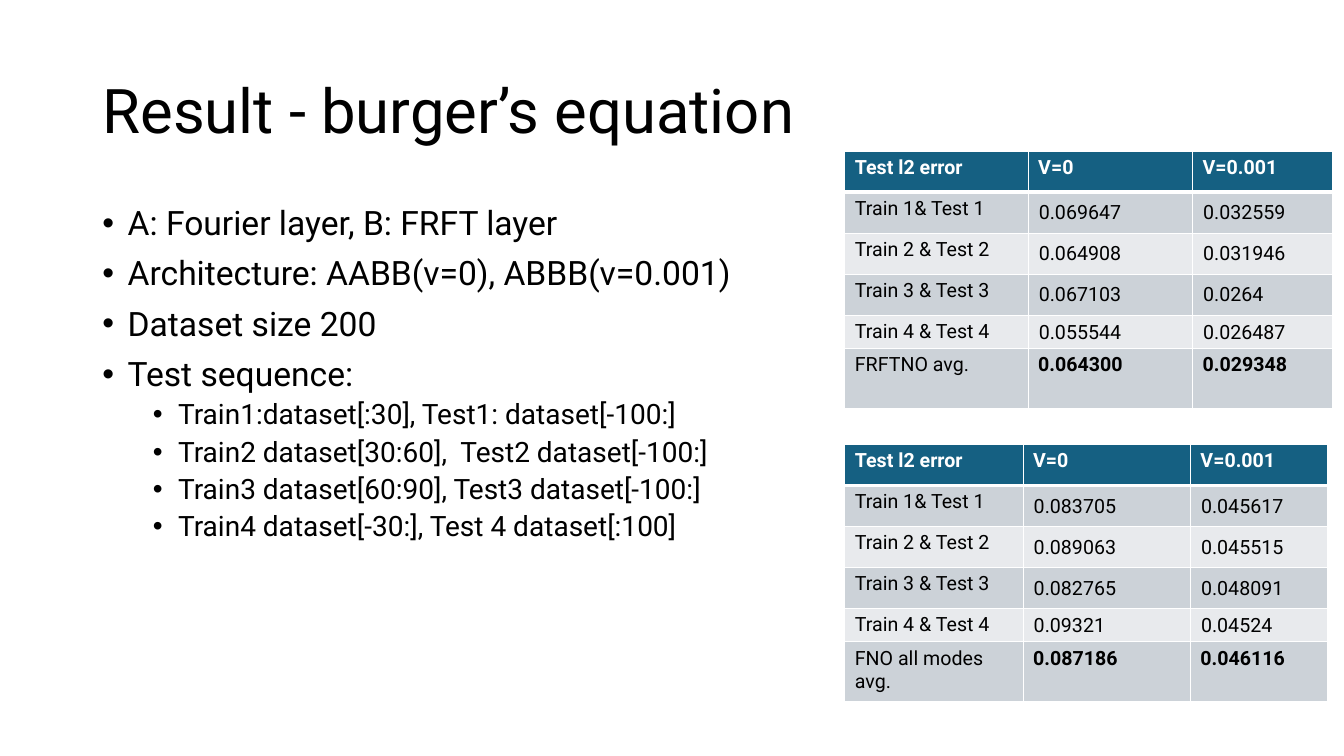
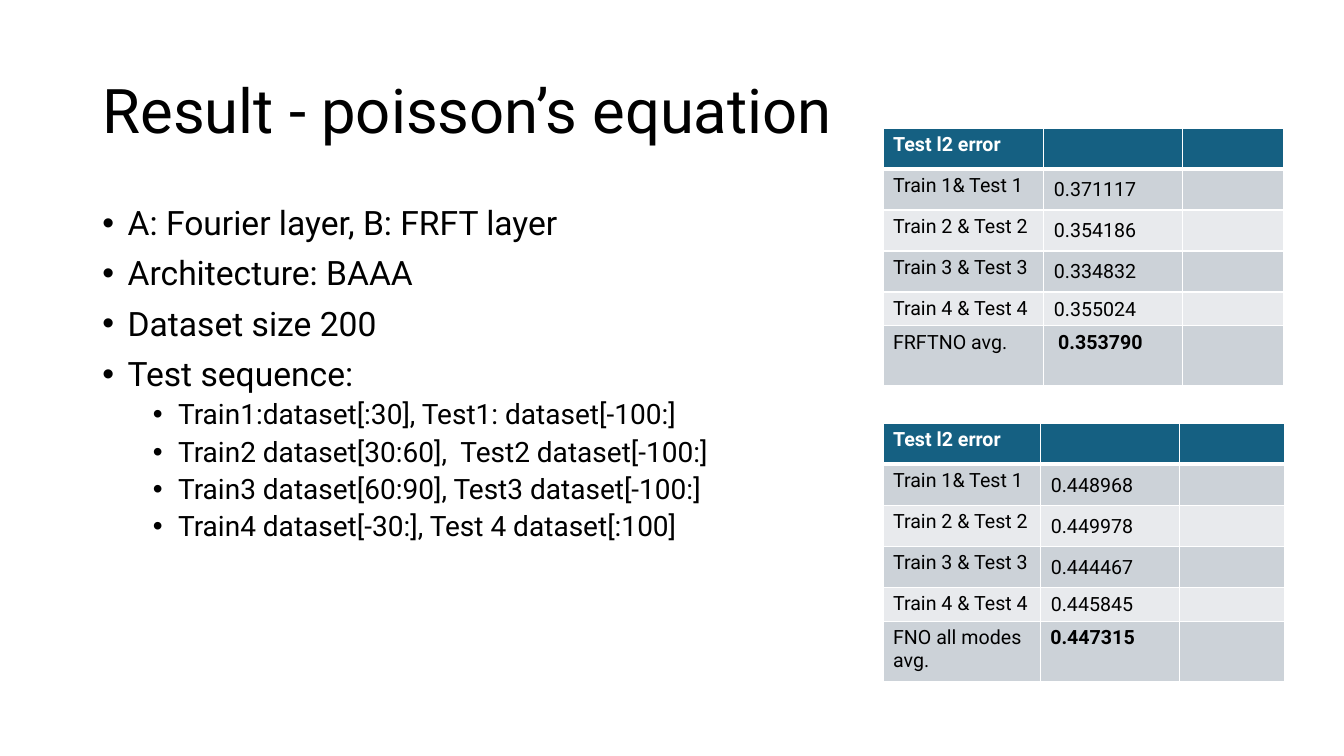
import pptx
import pptx.dml.color
import pptx.enum.text
import pptx.oxml.ns
import pptx.util
from lxml import etree

Pt = pptx.util.Pt
qn = pptx.oxml.ns.qn
ANCHOR = pptx.enum.text.MSO_ANCHOR

# Shared look
FONT = "Roboto"
COLORS = {"text": "000000", "white": "FFFFFF", "header": "156082",
          "odd": "CCD2D8", "even": "E8EAED"}
TITLE_BOX = (66, 28.8, 828, 104.4)
BODY_BOX = (66, 144, 828, 342.7)
TITLE_FONT = {"name": FONT, "size": Pt(44)}
LEVELS = [  # font size, space before, left margin
    (24, 10, 18),
    (20, 5, 54),
]
BULLET_HANG = 18
TABLE_FONT = {"name": FONT, "size": Pt(14)}
ROW_HEIGHTS = [29.3] * 4 + [14.4, 43]
VALUE_CELL = {"margin_left": Pt(7.6), "margin_right": Pt(0.7), "margin_top": Pt(0.7),
              "margin_bottom": Pt(0), "vertical_anchor": ANCHOR.MIDDLE}
ROW_LABELS = ["Train 1& Test 1", "Train 2 & Test 2", "Train 3 & Test 3", "Train 4 & Test 4"]

TEST_SEQUENCE = [
    "Train1:dataset[:30], Test1: dataset[-100:]",
    "Train2 dataset[30:60],  Test2 dataset[-100:]",
    "Train3 dataset[60:90], Test3 dataset[-100:]",
    "Train4 dataset[-30:], Test 4 dataset[:100]",
]

# Each table: origin, column widths, last row label, then the columns
# (heading, four test errors, average)
SLIDES = [
    {"title": "Result - burger’s equation",
     "architecture": "AABB(v=0), ABBB(v=0.001)",
     "tables": [
         {"at": (603.4, 108), "widths": (131, 117.4, 100.1), "average": "FRFTNO avg.",
          "columns": [
              ["V=0", "0.069647", "0.064908", "0.067103", "0.055544", "0.064300"],
              ["V=0.001", "0.032559", "0.031946", "0.0264", "0.026487", "0.029348"]]},
         {"at": (603.4, 317.5), "widths": (127.4, 119.5, 97.9), "average": "FNO all modes avg.",
          "columns": [
              ["V=0", "0.083705", "0.089063", "0.082765", "0.09321", "0.087186"],
              ["V=0.001", "0.045617", "0.045515", "0.048091", "0.04524", "0.046116"]]},
     ]},
    {"title": "Result - poisson’s equation",
     "architecture": "BAAA",
     "tables": [
         {"at": (630.7, 91.4), "widths": (114.5, 99.4, 72), "average": "FRFTNO avg.",
          "average_margin": 10.7,
          "columns": [
              ["", "0.371117", "0.354186", "0.334832", "0.355024", "0.353790"],
              [""] * 6]},
         {"at": (630.7, 302.4), "widths": (112.3, 99.4, 74.9), "average": "FNO all modes avg.",
          "columns": [
              ["", "0.448968", "0.449978", "0.444467", "0.445845", "0.447315"],
              [""] * 6]},
     ]},
]


def rgb(name):
    return pptx.dml.color.RGBColor.from_string(COLORS[name])


def set_attrs(obj, values):
    for name, value in values.items():
        setattr(obj, name, value)


def place(shape, box):
    set_attrs(shape, dict(zip(("left", "top", "width", "height"), map(Pt, box))))


def add_run(p, text, font, color):
    r = p.add_run()
    r.text = text
    set_attrs(r.font, font)
    r.font.color.rgb = rgb(color)


def fill_title(shape, box, text):
    place(shape, box)
    tf = shape.text_frame
    set_attrs(tf, {"vertical_anchor": ANCHOR.MIDDLE, "word_wrap": True,
                   "auto_size": pptx.enum.text.MSO_AUTO_SIZE.NONE})
    p = tf.paragraphs[0]
    set_attrs(p, {"alignment": pptx.enum.text.PP_ALIGN.LEFT, "line_spacing": 0.9})
    add_run(p, text, TITLE_FONT, "text")


def fill_body(shape, box, items):
    """Write (level, text) items as a bulleted list."""
    place(shape, box)
    tf = shape.text_frame
    set_attrs(tf, {"word_wrap": True, "auto_size": pptx.enum.text.MSO_AUTO_SIZE.NONE})
    for i, (level, text) in enumerate(items):
        p = tf.add_paragraph() if i else tf.paragraphs[0]
        size, before, margin = LEVELS[level]
        set_attrs(p, {"level": level, "line_spacing": 0.9, "space_before": Pt(before)})
        pPr = p._p.get_or_add_pPr()
        pPr.set("marL", str(Pt(margin)))
        pPr.set("indent", str(-Pt(BULLET_HANG)))
        etree.SubElement(pPr, qn("a:buFont"), typeface="Arial")
        etree.SubElement(pPr, qn("a:buChar"), char="•")
        add_run(p, text, {"name": FONT, "size": Pt(size)}, "text")


def add_borders(cell, row):
    """White grid, heavier under the header row."""
    widths = {"L": 1, "R": 1, "T": 3 if row == 1 else 1, "B": 3 if row == 0 else 1}
    tcPr = cell._tc.get_or_add_tcPr()
    for side, width in widths.items():
        ln = etree.SubElement(tcPr, qn("a:ln" + side), w=str(Pt(width)))
        fill = etree.SubElement(ln, qn("a:solidFill"))
        etree.SubElement(fill, qn("a:srgbClr"), val=COLORS["white"])


def add_error_table(s, data):
    columns = [["Test l2 error", *ROW_LABELS, data["average"]], *data["columns"]]
    left, top = data["at"]
    last = len(ROW_HEIGHTS) - 1
    table = s.shapes.add_table(len(ROW_HEIGHTS), len(columns), Pt(left), Pt(top),
                               Pt(sum(data["widths"])), Pt(sum(ROW_HEIGHTS))).table
    for row, height in zip(table.rows, ROW_HEIGHTS):
        row.height = Pt(height)
    for c, texts in enumerate(columns):
        table.columns[c].width = Pt(data["widths"][c])
        for r, text in enumerate(texts):
            cell = table.cell(r, c)
            add_borders(cell, r)
            cell.fill.solid()
            cell.fill.fore_color.rgb = rgb("header" if r == 0 else "odd" if r % 2 else "even")
            p = cell.text_frame.paragraphs[0]
            if not text:
                etree.SubElement(p._p, qn("a:endParaRPr"), sz="1400")
                continue
            if c and 0 < r < last:
                set_attrs(cell, VALUE_CELL)
            elif c and r == last:
                cell.margin_left = Pt(data.get("average_margin", 7.2))
            bold = r == 0 or (c > 0 and r == last)
            add_run(p, text, {**TABLE_FONT, "bold": bold}, "white" if r == 0 else "text")


def add_result_slide(prs, data):
    s = prs.slides.add_slide(prs.slide_layouts[1])
    s.background.fill.solid()
    s.background.fill.fore_color.rgb = rgb("white")
    fill_title(s.shapes.title, TITLE_BOX, data["title"])
    points = ["A: Fourier layer, B: FRFT layer", "Architecture: " + data["architecture"],
              "Dataset size 200", "Test sequence:"]
    items = [(0, text) for text in points] + [(1, text) for text in TEST_SEQUENCE]
    fill_body(s.placeholders[1], BODY_BOX, items)
    for table in data["tables"]:
        add_error_table(s, table)


def main():
    prs = pptx.Presentation()
    set_attrs(prs, {"slide_width": Pt(960), "slide_height": Pt(540)})
    for data in SLIDES:
        add_result_slide(prs, data)
    prs.save("out.pptx")


if __name__ == "__main__":
    main()
